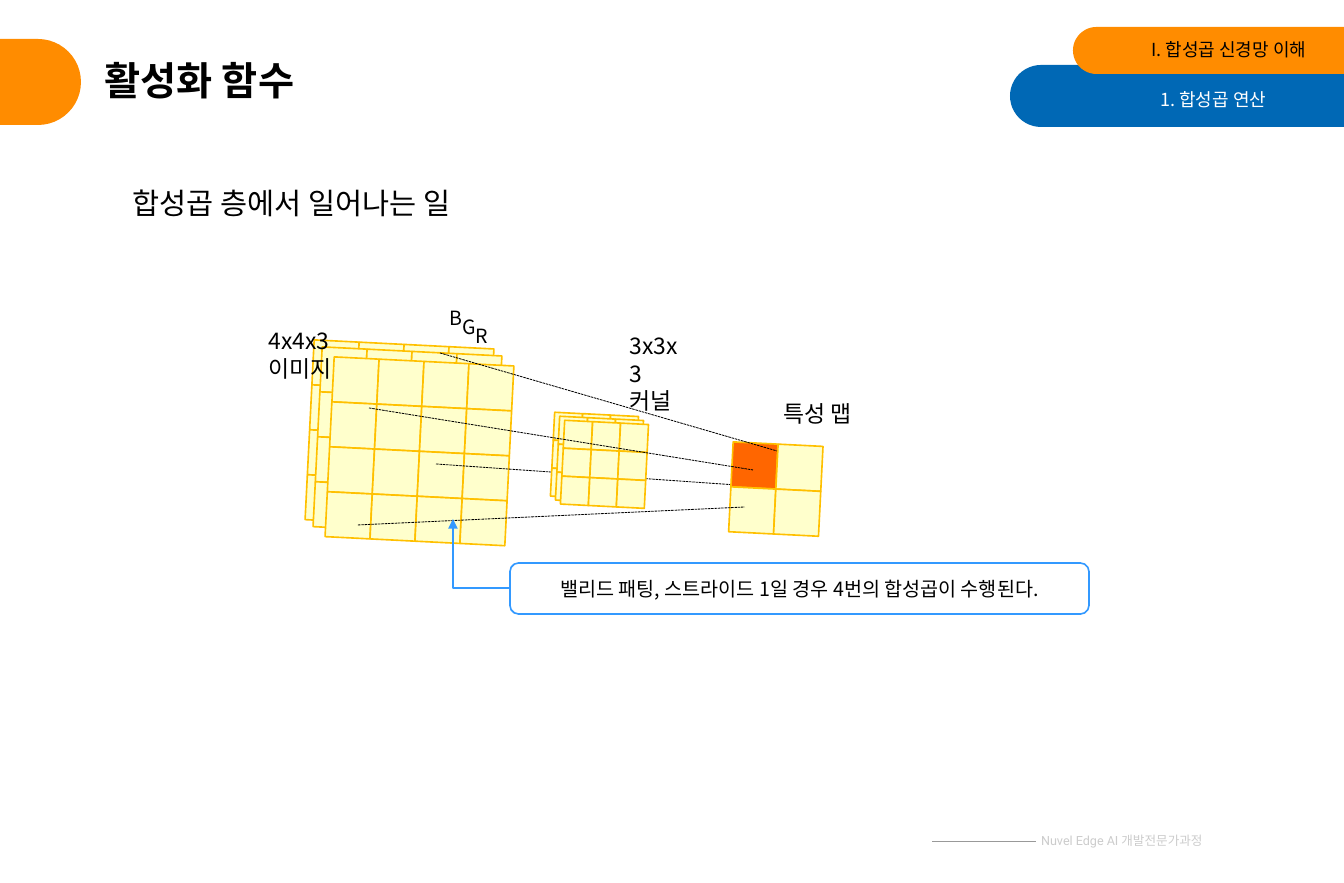
"""Build the slide on what happens in a convolution layer."""
import math

from lxml import etree
from pptx import Presentation
from pptx.dml.color import RGBColor
from pptx.enum import dml, shapes, text
from pptx.oxml import ns

SCALE = 7769
TILT = 2.9
THEME = {
    "font": "Noto Sans CJK KR", "footer_font": "Roboto",
    "black": "000000", "white": "FFFFFF", "grey": "CCCCCC", "rule": "999999",
    "orange": "FF8C00", "blue": "0068B5", "cell": "FFFFCC", "active": "FF6600",
    "grid": "FFC000", "callout": "3399FF",
    "title": 24, "heading": 18, "label": 14, "note": 12, "tab": 11, "footer": 7.7,
}


def write_text(shape, lines, size, colour="black", align="LEFT", font="font", bold=False):
    frame = shape.text_frame
    frame.word_wrap = True
    frame.text = lines
    for paragraph in frame.paragraphs:
        paragraph.alignment = text.PP_ALIGN[align]
        run = paragraph.runs[0]
        run.font.color.rgb = RGBColor.from_string(THEME[colour])
        style = {"name": THEME[font], "size": int(THEME[size] * 12700), "bold": bold}
        for name, value in style.items():
            setattr(run.font, name, value)
        properties = run._r.get_or_add_rPr()
        etree.SubElement(properties, ns.qn("a:ea"), typeface=THEME[font])


def draw_line(ends, colour, width, kind="STRAIGHT", dash=None):
    line = slide.shapes.add_connector(shapes.MSO_CONNECTOR[kind], *[end * SCALE for end in ends])
    line.line.color.rgb = RGBColor.from_string(THEME[colour])
    for name, value in {"width": int(width * 12700), "dash_style": dash}.items():
        setattr(line.line, name, value)
    etree.SubElement(line._element.spPr, ns.qn("a:effectLst"))
    return line


presentation = Presentation()
presentation.slide_width = 1344 * SCALE
presentation.slide_height = 883 * SCALE
slide = presentation.slides.add_slide(presentation.slide_layouts[5])

title = slide.shapes.title
title_box = {"left": 93, "top": 40, "width": 823, "height": 86}
for name, value in title_box.items():
    setattr(title, name, value * SCALE)
write_text(title, "활성화 함수", "title", bold=True)
title.text_frame.vertical_anchor = text.MSO_ANCHOR.MIDDLE
title.text_frame.paragraphs[0].line_spacing = 0.9

tabs = [
    ((-53, 39, 134, 86), "orange"),
    ((1010, 65, 383, 62), "blue"),
    ((1073, 27, 371, 47), "orange"),
]
for box, colour in tabs:
    tab = slide.shapes.add_shape(shapes.MSO_SHAPE.ROUNDED_RECTANGLE, *[side * SCALE for side in box])
    tab.adjustments[0] = 0.5
    tab.shadow.inherit = False
    tab.fill.solid()
    tab.fill.fore_color.rgb = RGBColor.from_string(THEME[colour])
    tab.line.fill.background()

draw_line((932, 841, 1036, 841), "rule", 0.5)

stacks = [
    {"layers": [(313, 341), (321, 348), (333, 358)], "count": 4, "size": 45,
     "rays": [(436, 464, 779, 488)]},
    {"layers": [(554, 413), (559, 417), (564, 421)], "count": 3, "size": 28, "rays": []},
    {"layers": [(732, 443)], "count": 2, "size": 45,
     "rays": [(369, 408, 753, 470), (358, 525, 745, 507), (440, 353, 777, 451)]},
]
cosine, sine = math.cos(math.radians(TILT)), math.sin(math.radians(TILT))
for stack in stacks:
    group = slide.shapes.add_group_shape()
    size = stack["size"]
    for left, top in stack["layers"]:
        for index in range(stack["count"] ** 2):
            row, column = divmod(index, stack["count"])
            x = left + size * (column * cosine - row * sine)
            y = top + size * (column * sine + row * cosine)
            box = [round(side * SCALE) for side in (x, y, size, size)]
            cell = group.shapes.add_shape(shapes.MSO_SHAPE.RECTANGLE, *box)
            active = stack["count"] == 2 and index == 0
            cell.rotation = TILT
            cell.shadow.inherit = False
            cell.fill.solid()
            cell.fill.fore_color.rgb = RGBColor.from_string(THEME["active" if active else "cell"])
            cell.line.color.rgb = RGBColor.from_string(THEME["grid"])
            cell.line.width = 12700
    for ray in stack["rays"]:
        draw_line(ray, "black", 0.5, dash=dml.MSO_LINE.SQUARE_DOT)

labels = [
    ((121, 179, 383, 47), "합성곱 층에서 일어나는 일", {"size": "heading"}),
    ((257, 321, 93, 67), "4x4x3\n이미지", {"size": "label"}),
    ((464, 318, 36, 35), "R", {"size": "note"}),
    ((451, 309, 38, 35), "G", {"size": "note"}),
    ((438, 300, 36, 35), "B", {"size": "note"}),
    ((618, 326, 83, 67), "3x3x3\n커널", {"size": "label"}),
    ((772, 394, 101, 40), "특성 맵", {"size": "label"}),
    ((1137, 83, 141, 34), "1. 합성곱 연산", {"size": "tab", "colour": "white", "align": "RIGHT"}),
    ((1097, 33, 221, 34), "I. 합성곱 신경망 이해", {"size": "tab", "align": "RIGHT"}),
    ((919, 827, 295, 27), "Nuvel Edge AI 개발전문가과정",
     {"size": "footer", "colour": "grey", "align": "RIGHT", "font": "footer_font"}),
]
for box, lines, style in labels:
    label = slide.shapes.add_textbox(*[side * SCALE for side in box])
    write_text(label, lines, **style)

callout_box = [side * SCALE for side in (510, 563, 579, 51)]
callout = slide.shapes.add_shape(shapes.MSO_SHAPE.ROUNDED_RECTANGLE, *callout_box)
callout.shadow.inherit = False
callout.fill.background()
callout.line.color.rgb = RGBColor.from_string(THEME["callout"])
callout.line.width = 12700
write_text(callout, "밸리드 패팅, 스트라이드 1일 경우 4번의 합성곱이 수행된다.", "note", align="CENTER")
callout.text_frame.vertical_anchor = text.MSO_ANCHOR.MIDDLE

arrow = draw_line((510, 588, 453, 519), "callout", 1, kind="ELBOW")
outline = arrow._element.spPr
outline.find(ns.qn("a:prstGeom")).set("prst", "bentConnector2")
etree.SubElement(outline.find(ns.qn("a:ln")), ns.qn("a:tailEnd"), type="triangle")

presentation.save("out.pptx")
